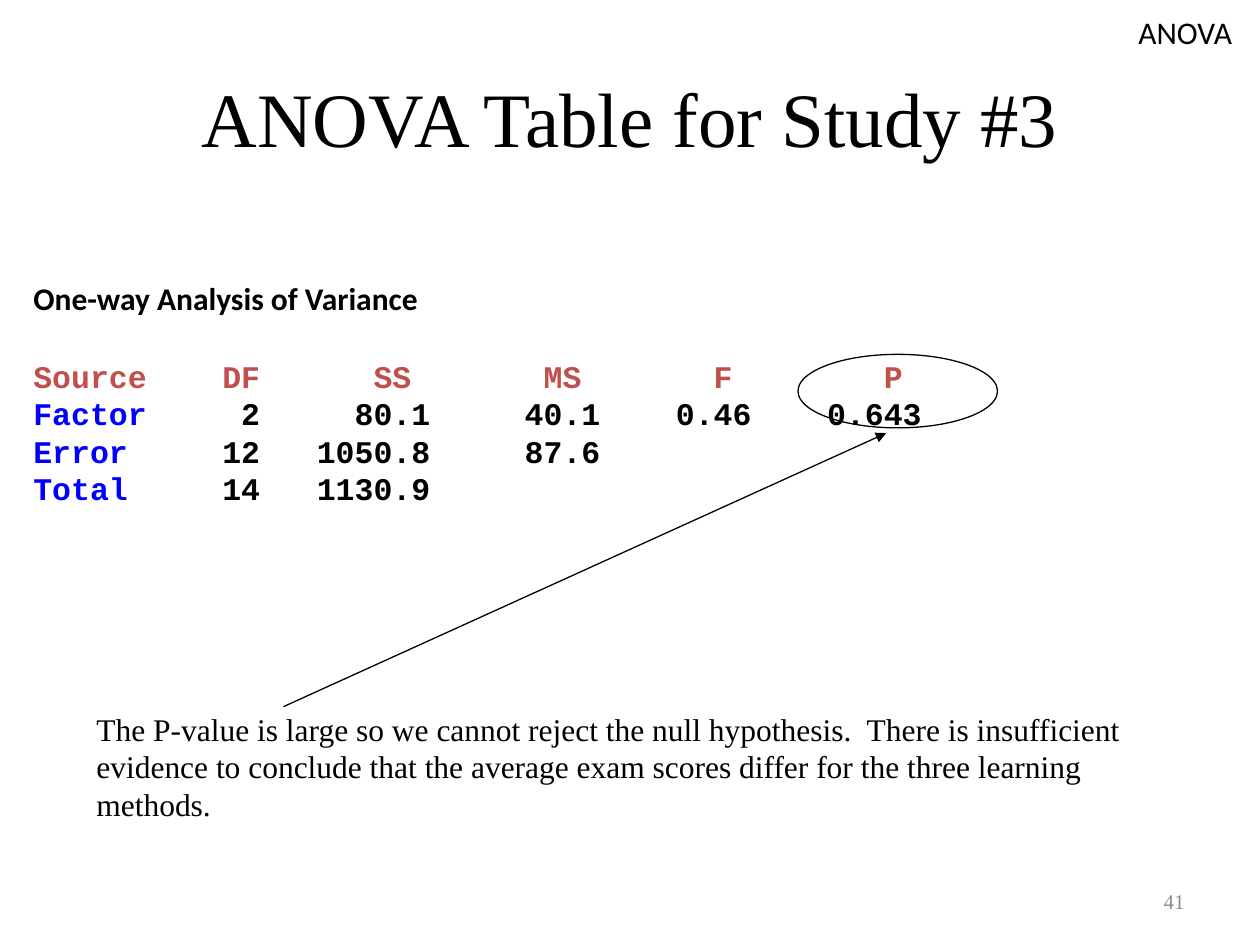
from collections import namedtuple

from lxml import etree
from pptx import Presentation
from pptx.dml.color import RGBColor
from pptx.enum.shapes import MSO_CONNECTOR, MSO_SHAPE
from pptx.enum.text import MSO_ANCHOR, PP_ALIGN
from pptx.oxml.ns import qn
from pptx.util import Inches, Pt

STRAIGHT = MSO_CONNECTOR.STRAIGHT
OVAL = MSO_SHAPE.OVAL
TOP, MIDDLE = MSO_ANCHOR.TOP, MSO_ANCHOR.MIDDLE
LEFT, CENTER, RIGHT = PP_ALIGN.LEFT, PP_ALIGN.CENTER, PP_ALIGN.RIGHT

COLORS = {"ink": "000000", "header": "C0504D", "label": "0000FF", "muted": "8C8C8C"}
SERIF, SANS, MONO = "Times New Roman", "Calibri", "Courier New"

UNIT = Inches(1) / 12  # the page is a grid of 120 columns by 90 rows
CHARACTER = Inches(0.15)  # width of one 18 pt monospaced character
HEADER_STOPS = (12, 20, 29, 37, 46)
VALUE_STOPS = (12, 21, 30, 38, 47)
HEADER = ("Source", "DF", "SS", "MS", "F", "P")
ROWS = (
    ("Factor", "2", "80.1", "40.1", "0.46", "0.643"),
    ("Error", "12", "1050.8", "87.6"),
    ("Total", "14", "1130.9"),
)

Box = namedtuple("Box", "left top width height")


def grid(*cells):
    return [round(cell * UNIT) for cell in cells]


def style(span, font, size=18, color="ink", bold=False):
    span.font.name = font
    span.font.size = Pt(size)
    span.font.bold = bold
    span.font.color.rgb = RGBColor.from_string(COLORS[color])


def add_text(page, box, text, font, size=18, color="ink", bold=False,
             align=LEFT, anchor=TOP, wrap=True):
    frame = page.shapes.add_textbox(*grid(*box)).text_frame
    frame.word_wrap = wrap
    frame.vertical_anchor = anchor
    para = frame.paragraphs[0]
    para.text = text
    para.alignment = align
    style(para.runs[0], font, size, color, bold)
    return frame


def set_right_tabs(para, stops):
    tabs = etree.SubElement(para._p.get_or_add_pPr(), qn("a:tabLst"))
    for stop in stops:
        etree.SubElement(tabs, qn("a:tab"), pos=str(stop * CHARACTER), algn="r")


def add_row(frame, cells, stops, label_color, value_color):
    para = frame.add_paragraph()
    para.line_spacing = Pt(21.4)
    set_right_tabs(para, stops)
    label, values = para.add_run(), para.add_run()
    label.text = cells[0]
    values.text = "".join("\t" + value for value in cells[1:])
    style(label, MONO, color=label_color, bold=True)
    style(values, MONO, color=value_color, bold=True)
    return para


def add_results(page, box):
    """Place the ANOVA rows, ring the P column and return the ring's box."""
    frame = add_text(page, box, "One-way Analysis of Variance", SANS, bold=True)
    add_row(frame, HEADER, HEADER_STOPS, "header", "header").space_before = Pt(23)
    for cells in ROWS:
        add_row(frame, cells, VALUE_STOPS, "label", "ink")

    ring_box = Box(box.left + 74, box.top + 7.75, 19, 7)
    ring = page.shapes.add_shape(OVAL, *grid(*ring_box))
    ring.shadow.inherit = False
    ring.fill.background()
    set_line(ring)
    return ring_box


def set_line(shape):
    shape.line.color.rgb = RGBColor.from_string(COLORS["ink"])
    shape.line.width = Pt(0.75)


def add_conclusion(page, box, ring_box):
    """Place the conclusion and an arrow from it to the ringed P-value."""
    add_text(page, box,
             "The P-value is large so we cannot reject the null hypothesis.  There is "
             "insufficient evidence to conclude that the average exam scores differ "
             "for the three learning methods.", SERIF)
    arrow = page.shapes.add_connector(STRAIGHT, *grid(
        box.left + 19, box.top + 0.3,
        ring_box.left + 8.4, ring_box.top + ring_box.height + 0.5))
    set_line(arrow)
    etree.SubElement(arrow.line._get_or_add_ln(), qn("a:tailEnd"), type="triangle")
    etree.SubElement(arrow._element.spPr, qn("a:effectLst"))


def main():
    deck = Presentation()
    deck.slide_width, deck.slide_height = grid(120, 90)
    page = deck.slides.add_slide(deck.slide_layouts[6])

    add_text(page, Box(6, 3.6, 108, 15), "ANOVA Table for Study #3", SERIF, 44,
             align=CENTER, anchor=MIDDLE)
    ring_box = add_results(page, Box(2, 26, 115, 30))
    add_conclusion(page, Box(8, 67, 106, 15.6), ring_box)
    add_text(page, Box(107.25, 0.6, 13, 4.7), "ANOVA", SANS, wrap=False)
    add_text(page, Box(86, 83.4, 28, 4.8), "41", SERIF, 12, "muted",
             align=RIGHT, anchor=MIDDLE)

    deck.save("out.pptx")


if __name__ == "__main__":
    main()
